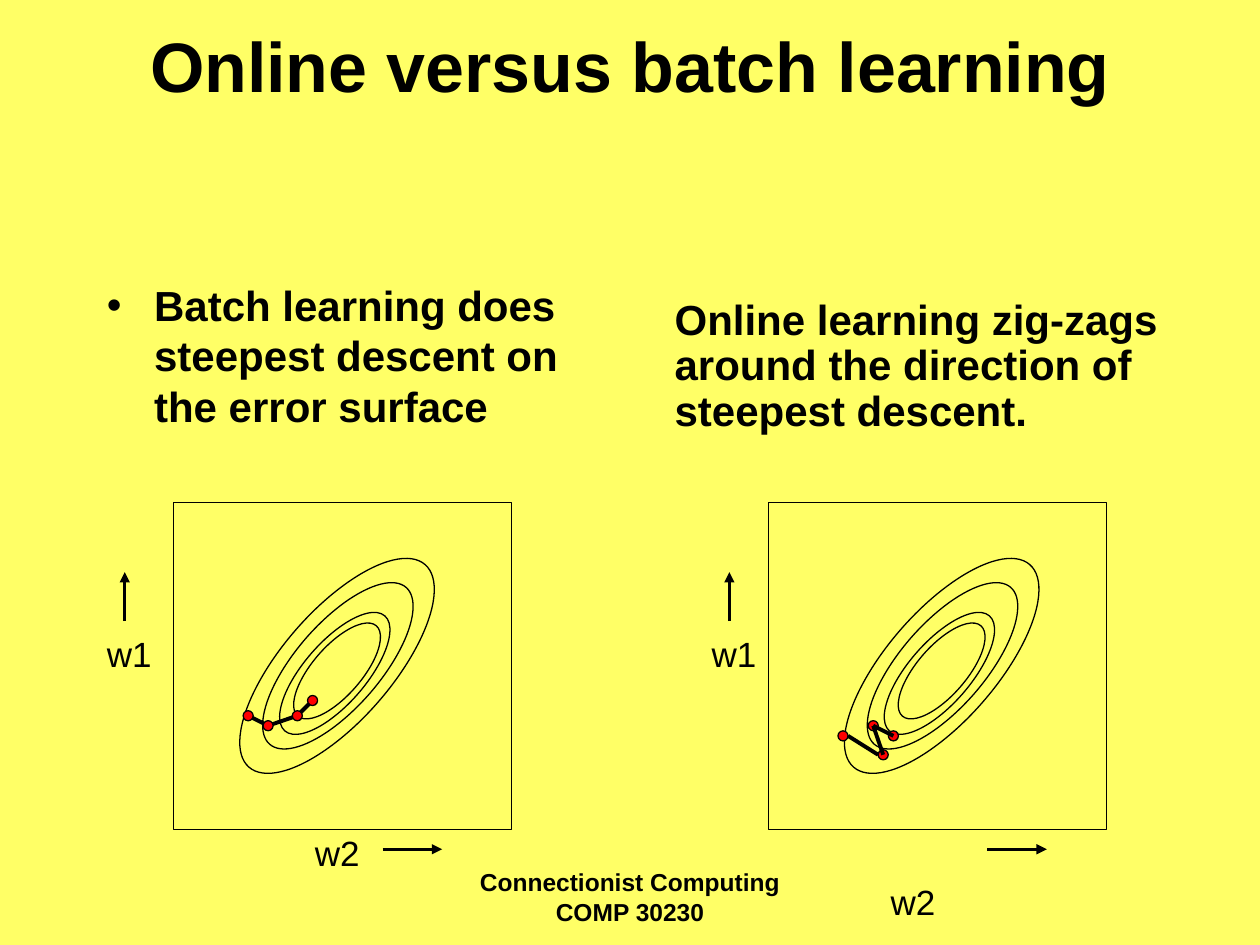
from lxml import etree
from pptx import Presentation
from pptx.dml.color import RGBColor
from pptx.enum.shapes import MSO_CONNECTOR, MSO_SHAPE
from pptx.enum.text import MSO_ANCHOR, MSO_AUTO_SIZE, PP_ALIGN
from pptx.oxml.ns import qn
from pptx.util import Pt

COLORS = {"paper": "FFFF66", "ink": "000000", "step": "FF0000"}
FONT = "Arial"

TITLE = "Online versus batch learning"
FOOTER = "Connectionist Computing COMP 30230"
BATCH = "Batch learning does steepest descent on the error surface"
ONLINE = "Online learning zig-zags around the direction of steepest descent."

# Contours of the error surface: centre x, centre y, width, height
CONTOURS = [
    (192.6, 380.5, 62.6, 153.4),
    (193.1, 380.5, 48.2, 118.8),
    (191.3, 384.8, 35.3, 87.1),
    (192.6, 383.4, 28.1, 68.4),
]
CONTOUR_TILT = 41
DOT = 5.76
PANEL_SIZE = (193, 187)
PANEL_TOP = 287.2
LABEL_SIZE = (39.6, 31.7)

PANELS = [
    {
        "shift": 345.5, "frame_left": 439.2, "w2": (501.8, 499.7),
        "dots": [(481.7, 420.5), (504.7, 431.3), (499, 414.7), (510.5, 420.5)],
        "steps": [((499, 414.7), (504.7, 431.3)),
                  ((499, 414.7), (510.5, 420.5)),
                  ((484.6, 420.5), (501.8, 431.3))],
        "steps_in_front": True,
    },
    {
        "shift": 0, "frame_left": 99.2, "w2": (172.8, 471.6),
        "dots": [(141.8, 409), (153.2, 414.7), (169.9, 409), (178.6, 400.3)],
        "steps": [((141.8, 409), (153.2, 414.7)),
                  ((153.2, 414.7), (169.9, 409)),
                  ((169.9, 409), (178.6, 400.3))],
        "steps_in_front": False,
    },
]


def color(name):
    return RGBColor.from_string(COLORS[name])


def write(shape, text, size, bold=False, align=PP_ALIGN.LEFT):
    shape.text_frame.text = text
    paragraph = shape.text_frame.paragraphs[0]
    paragraph.alignment = align
    font = paragraph.runs[0].font
    font.name, font.size, font.bold = FONT, Pt(size), bold
    font.color.rgb = color("ink")
    return paragraph


def add_text(slide, box, text, size, **style):
    shape = slide.shapes.add_textbox(*map(Pt, box))
    shape.text_frame.word_wrap = True
    return shape, write(shape, text, size, **style)


def add_axis_label(slide, position, text):
    label, _ = add_text(slide, (*position, *LABEL_SIZE), text, 20)
    label.text_frame.margin_right = 0


def indent(paragraph, first_line, bullet=None):
    """Indent a paragraph by 27 pt, with an optional hanging bullet."""
    properties = paragraph._p.get_or_add_pPr()
    properties.set("marL", str(Pt(27)))
    properties.set("indent", str(Pt(first_line)))
    if bullet:
        etree.SubElement(properties, qn("a:buFont")).set("typeface", FONT)
        etree.SubElement(properties, qn("a:buChar")).set("char", bullet)


def add_outline(slide, kind, box, fill=None, rotation=0):
    shape = slide.shapes.add_shape(kind, *map(Pt, box))
    shape.shadow.inherit = False
    shape.rotation = rotation
    if fill:
        shape.fill.solid()
        shape.fill.fore_color.rgb = color(fill)
    else:
        shape.fill.background()
    shape.line.color.rgb = color("ink")
    shape.line.width = Pt(0.75)


def add_line(slide, start, end, width, arrow=False):
    line = slide.shapes.add_connector(
        MSO_CONNECTOR.STRAIGHT, *map(Pt, (*start, *end)))
    line.line.color.rgb = color("ink")
    line.line.width = Pt(width)
    if arrow:
        outline = line.line._get_or_add_ln()
        etree.SubElement(outline, qn("a:tailEnd")).set("type", "triangle")
    etree.SubElement(line._element.spPr, qn("a:effectLst"))


def centred(x, y, width, height):
    return x - width / 2, y - height / 2, width, height


def add_steps(slide, panel):
    for start, end in panel["steps"]:
        add_line(slide, start, end, 2.25)


def add_panel(slide, panel):
    shift = panel["shift"]
    add_outline(slide, MSO_SHAPE.RECTANGLE,
                (panel["frame_left"], PANEL_TOP, *PANEL_SIZE))
    add_axis_label(slide, (54 + shift, 357.8), "w1")
    add_axis_label(slide, panel["w2"], "w2")
    add_line(slide, (71.3 + shift, 355), (71.3 + shift, 326.9), 1.5, arrow=True)
    add_line(slide, (218.6 + shift, 485.3), (252.7 + shift, 485.3), 1.5, arrow=True)
    for x, y, width, height in CONTOURS:
        add_outline(slide, MSO_SHAPE.OVAL, centred(x + shift, y, width, height),
                    rotation=CONTOUR_TILT)
    if not panel["steps_in_front"]:
        add_steps(slide, panel)
    for x, y in panel["dots"]:
        add_outline(slide, MSO_SHAPE.OVAL, centred(x, y, DOT, DOT), fill="step")
    if panel["steps_in_front"]:
        add_steps(slide, panel)


def main():
    deck = Presentation()
    deck.slide_width, deck.slide_height = Pt(720), Pt(540)
    slide = deck.slides.add_slide(deck.slide_layouts[5])
    slide.background.fill.solid()
    slide.background.fill.fore_color.rgb = color("paper")

    title = slide.shapes.title
    title.left, title.top, title.width, title.height = map(Pt, (36, -8, 648, 90))
    title.text_frame.vertical_anchor = MSO_ANCHOR.MIDDLE
    title.text_frame.auto_size = MSO_AUTO_SIZE.NONE
    write(title, TITLE, 40, bold=True, align=PP_ALIGN.CENTER)

    add_text(slide, (246, 492, 228, 36), FOOTER, 14,
             bold=True, align=PP_ALIGN.CENTER)
    _, batch = add_text(slide, (54, 156.2, 300.2, 324), BATCH, 24, bold=True)
    indent(batch, -27, bullet="•")
    online_box, online = add_text(slide, (351.4, 103.7, 383, 161.3), ONLINE, 24,
                                  bold=True)
    online_box.text_frame.margin_top = Pt(67.2)
    indent(online, 0)
    online.line_spacing = 0.9

    for panel in PANELS:
        add_panel(slide, panel)
    deck.save("out.pptx")


if __name__ == "__main__":
    main()
